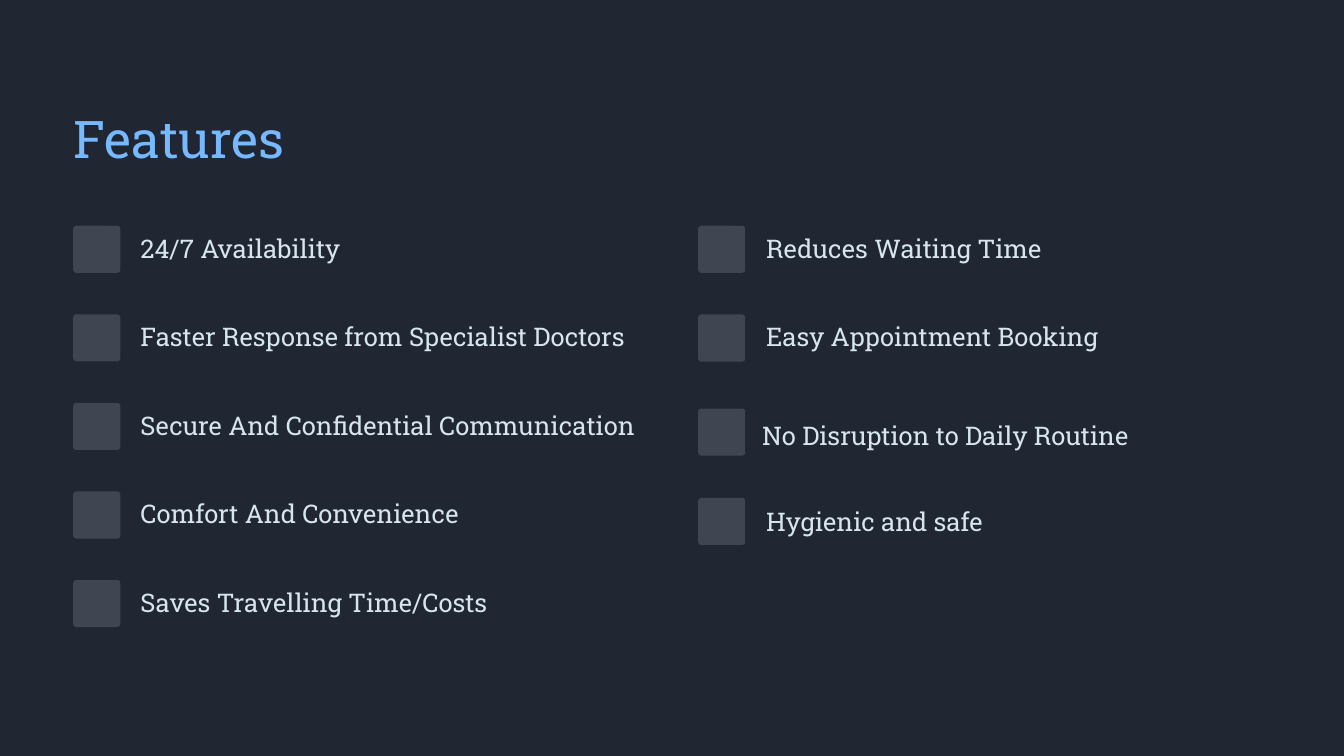
from pptx import Presentation
from pptx.dml.color import RGBColor
from pptx.enum.shapes import MSO_SHAPE as Shape
from pptx.enum.text import MSO_ANCHOR as Anchor, MSO_AUTO_SIZE as AutoSize, PP_ALIGN as Align
from pptx.util import Inches, Pt

COLORS = {"background": "202733", "title": "76B9FF", "tile": "3F4652", "label": "D6E5EF"}
FONT = "Roboto Slab"
TILE_SIZE = 0.7
TILE_TOP, ROW_STEP = 3.36, 1.318
LABEL_DROP = 0.08


class FeatureSlide:
    def __init__(self, slide):
        self.slide = slide

    def color(self, name):
        return RGBColor.from_string(COLORS[name])

    def background(self):
        fill = self.slide.background.fill
        fill.solid()
        fill.fore_color.rgb = self.color("background")

    def set_text(self, frame, text, size, line, color):
        frame.margin_left = frame.margin_right = frame.margin_top = frame.margin_bottom = 0
        frame.word_wrap = True
        frame.auto_size = AutoSize.NONE
        frame.vertical_anchor = Anchor.TOP
        paragraph = frame.paragraphs[0]
        paragraph.text = text
        paragraph.alignment = Align.LEFT
        paragraph.line_spacing = Pt(line)
        paragraph.font.name = FONT
        paragraph.font.size = Pt(size)
        paragraph.font.color.rgb = self.color(color)

    def title(self, text, left, top, width, height):
        title = self.slide.shapes.title
        title.left, title.top = Inches(left), Inches(top)
        title.width, title.height = Inches(width), Inches(height)
        self.set_text(title.text_frame, text, 55.6, 69.4, "title")

    def tile(self, left, top):
        tile = self.slide.shapes.add_shape(
            Shape.ROUNDED_RECTANGLE, Inches(left), Inches(top), Inches(TILE_SIZE), Inches(TILE_SIZE))
        tile.adjustments[0] = 0.065
        tile.shadow.inherit = False
        tile.fill.solid()
        tile.fill.fore_color.rgb = self.color("tile")
        tile.line.fill.background()

    def label(self, text, left, top):
        label = self.slide.shapes.add_textbox(Inches(left), Inches(top), Inches(7.75), Inches(0.51))
        self.set_text(label.text_frame, text, 27.5, 34.4, "label")


def main():
    prs = Presentation()
    prs.slide_width, prs.slide_height = Inches(20), Inches(11.25)
    page = FeatureSlide(prs.slides.add_slide(prs.slide_layouts[5]))
    page.background()
    page.title("Features", 1.09, 1.55, 7.75, 0.99)

    # Left column: evenly spaced features
    left_features = [
        "24/7 Availability",
        "Faster Response from Specialist Doctors",
        "Secure And Confidential Communication",
        "Comfort And Convenience",
        "Saves Travelling Time/Costs",
    ]
    for row, feature in enumerate(left_features):
        top = TILE_TOP + row * ROW_STEP
        page.tile(1.09, top)
        page.label(feature, 2.09, top + LABEL_DROP)

    # Right column: tile top, label left and label top vary by row
    right_features = [
        ("Reduces Waiting Time", 3.36, 11.4, 3.44),
        ("Easy Appointment Booking", 4.68, 11.4, 4.76),
        ("No Disruption to Daily Routine", 6.08, 11.34, 6.23),
        ("Hygienic and safe", 7.41, 11.4, 7.51),
    ]
    for feature, tile_top, label_left, label_top in right_features:
        page.tile(10.39, tile_top)
        page.label(feature, label_left, label_top)

    prs.save("out.pptx")


if __name__ == "__main__":
    main()
